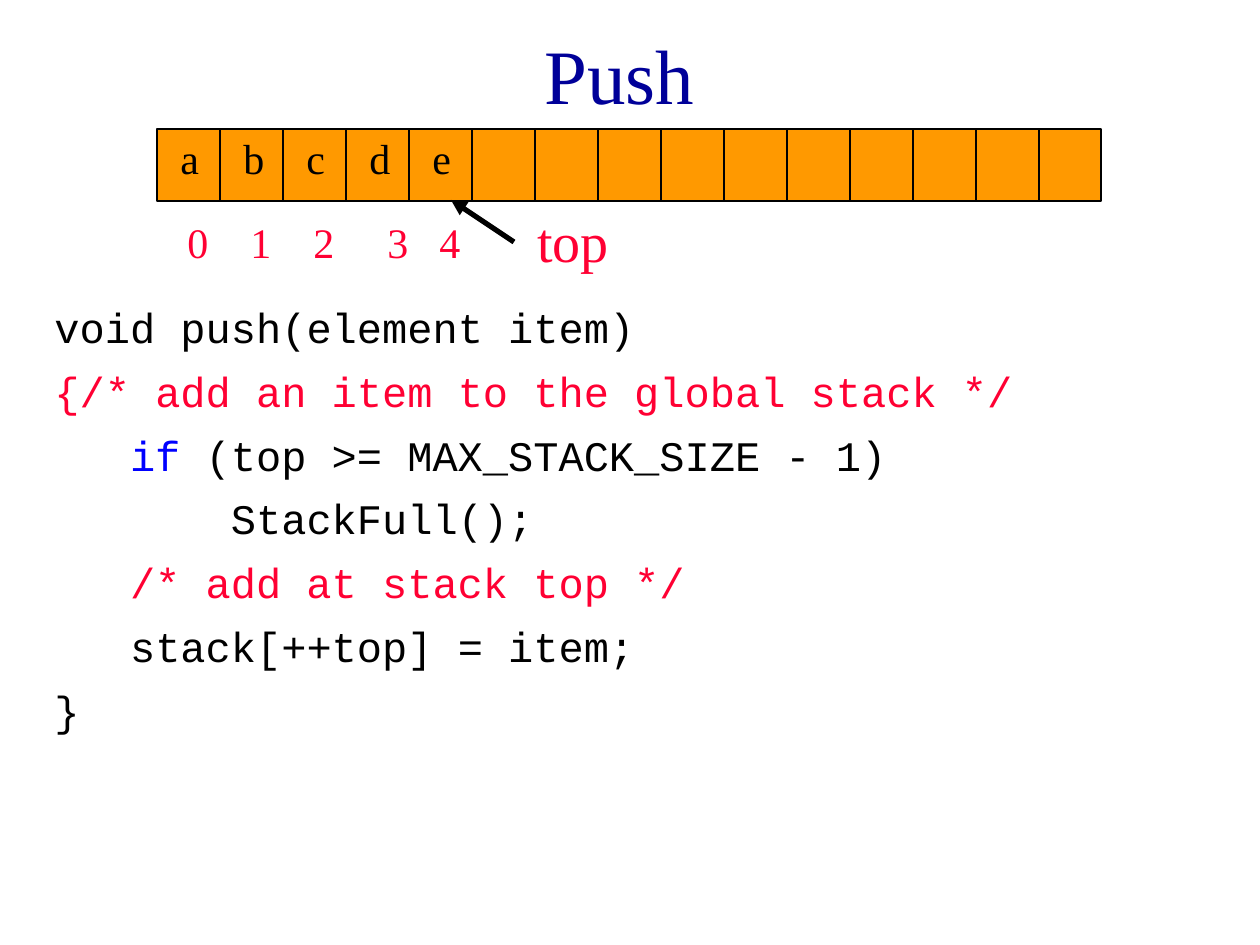
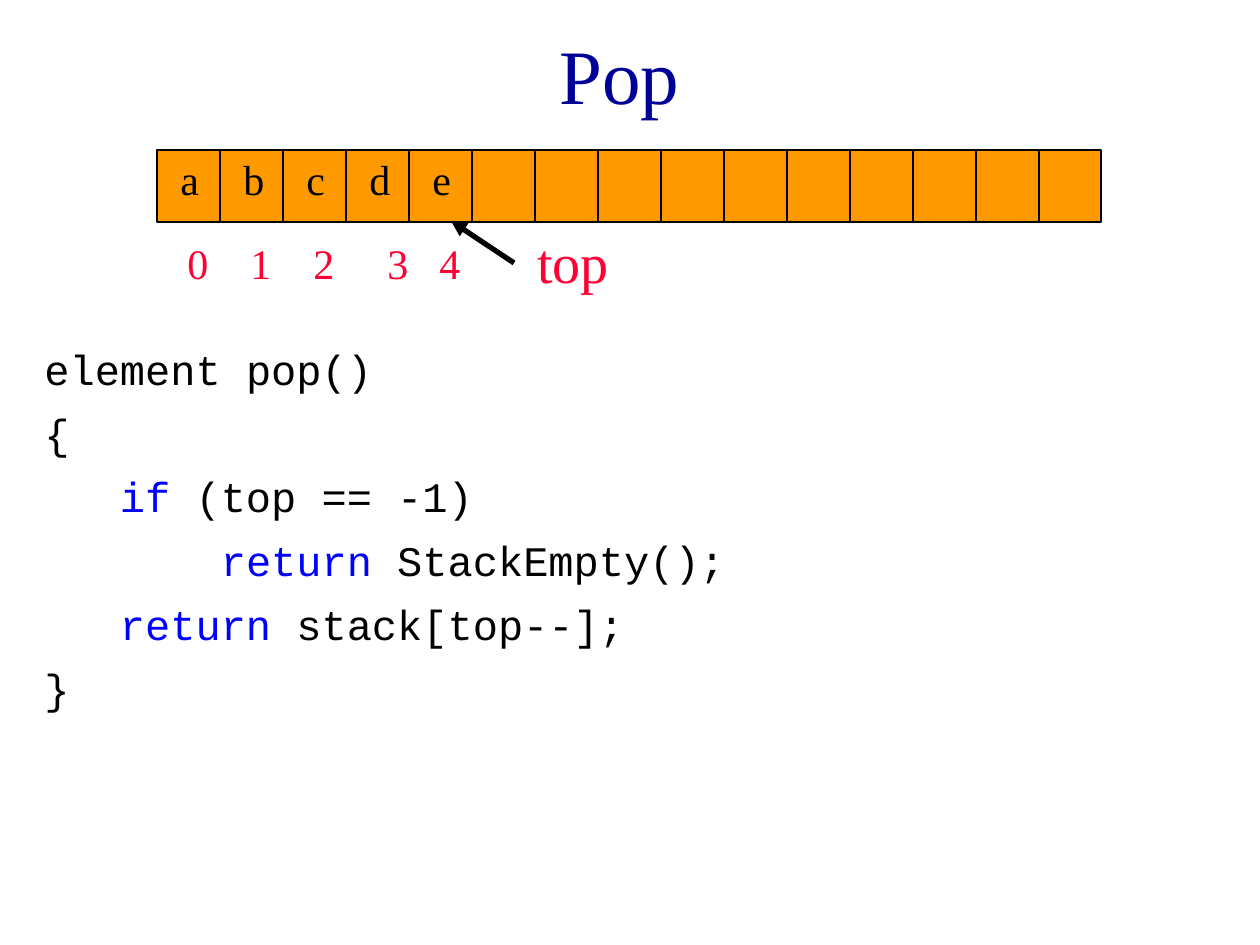
from dataclasses import dataclass
from typing import NamedTuple

from lxml.etree import SubElement
from pptx import Presentation
from pptx.dml.color import RGBColor
from pptx.enum.shapes import MSO_CONNECTOR as Connector, MSO_SHAPE as Preset
from pptx.enum.text import MSO_ANCHOR as Anchor, PP_ALIGN as Align
from pptx.oxml.ns import qn
from pptx.slide import Slide
from pptx.util import Emu, Pt

PX_PER_INCH = 126


def px(length: int) -> Emu:
    return Emu(round(length * 914400 / PX_PER_INCH))


# Colours and type sizes
@dataclass(frozen=True)
class Theme:
    title: str = "000099"
    ink: str = "000000"
    accent: str = "FF0033"
    keyword: str = "0000FF"
    cell: str = "FF9900"
    serif: str = "Times New Roman"
    mono: str = "Courier New"
    title_size: int = 44
    pointer_size: int = 32
    body_size: int = 24
    code_gap: float = 7.7


THEME = Theme()


class Box(NamedTuple):
    left: int
    top: int
    width: int
    height: int


class Point(NamedTuple):
    x: int
    y: int


class Span(NamedTuple):
    text: str
    color: str = THEME.ink


Line = list[Span]


@dataclass(frozen=True)
class Operation:
    title: str
    stack_top: int
    code_box: Box
    code: list[Line]


# Stack layout
CELL_COUNT = 15
CELL_WIDTH = 63
CELL_HEIGHT = 72
STACK_LEFT = 157
ITEMS = "abcde"
INDEX_LEFTS = (175, 238, 301, 375, 427)

OPERATIONS = [
    Operation("Push", 129, Box(42, 295, 1218, 598), [
        [Span("void push(element item)")],
        [Span("{/* add an item to the global stack */", THEME.accent)],
        [Span("   "), Span("if", THEME.keyword), Span(" (top >= MAX_STACK_SIZE - 1)")],
        [Span("       StackFull();")],
        [Span("   "), Span("/* add at stack top */", THEME.accent)],
        [Span("   stack[++top] = item;")],
        [Span("}")],
    ]),
    Operation("Pop", 150, Box(32, 337, 1207, 598), [
        [Span("element pop()")],
        [Span("{")],
        [Span("   "), Span("if", THEME.keyword), Span(" (top == -1)")],
        [Span("       "), Span("return", THEME.keyword), Span(" StackEmpty();")],
        [Span("   "), Span("return", THEME.keyword), Span(" stack[top--];")],
        [Span("}")],
    ]),
]


def add_text(slide: Slide, box: Box, lines: list[Line], size: int,
             font: str = THEME.serif, align: Align = Align.LEFT,
             anchor: Anchor = Anchor.TOP, wrap: bool = True, gap: float = 0) -> None:
    frame = slide.shapes.add_textbox(*map(px, box)).text_frame
    frame.word_wrap = wrap
    frame.vertical_anchor = anchor
    for number, line in enumerate(lines):
        paragraph = frame.add_paragraph() if number else frame.paragraphs[0]
        paragraph.alignment = align
        if number and gap:
            paragraph.space_before = Pt(gap)
        for span in line:
            run = paragraph.add_run()
            run.text = span.text
            run.font.name = font
            run.font.size = Pt(size)
            run.font.color.rgb = RGBColor.from_string(span.color)


def add_line(slide: Slide, start: Point, end: Point, width: int = 1,
             arrow_at_start: bool = False) -> None:
    connector = slide.shapes.add_connector(
        Connector.STRAIGHT, *map(px, start), *map(px, end))
    connector.line.color.rgb = RGBColor.from_string(THEME.ink)
    connector.line.width = Pt(width)
    if arrow_at_start:
        SubElement(connector.line._get_or_add_ln(), qn("a:headEnd"), type="triangle")
    SubElement(connector._element.spPr, qn("a:effectLst"))


def draw_stack(slide: Slide, top: int) -> None:
    bottom = top + CELL_HEIGHT

    # Row of cells
    row = slide.shapes.add_shape(Preset.RECTANGLE, *map(
        px, Box(STACK_LEFT, top, CELL_COUNT * CELL_WIDTH - 1, CELL_HEIGHT)))
    row.shadow.inherit = False
    row.fill.solid()
    row.fill.fore_color.rgb = RGBColor.from_string(THEME.cell)
    row.line.color.rgb = RGBColor.from_string(THEME.ink)
    row.line.width = Pt(1)
    for cell in range(1, CELL_COUNT):
        x = STACK_LEFT + cell * CELL_WIDTH
        add_line(slide, Point(x, top), Point(x, bottom))

    # Items and their indexes
    for index, (item, index_left) in enumerate(zip(ITEMS, INDEX_LEFTS)):
        item_left = STACK_LEFT + 11 + index * CELL_WIDTH
        add_text(slide, Box(item_left, top - 3, 46, 63), [[Span(item)]],
                 THEME.body_size, wrap=False)
        add_text(slide, Box(index_left, top + 81, 46, 63),
                 [[Span(str(index), THEME.accent)]], THEME.body_size, wrap=False)

    # Pointer to the top item
    add_line(slide, Point(451, bottom - 1), Point(514, bottom + 41), 3,
             arrow_at_start=True)
    add_text(slide, Box(525, bottom - 1, 273, 81), [[Span("top", THEME.accent)]],
             THEME.pointer_size)


def draw_operation(slide: Slide, operation: Operation) -> None:
    add_text(slide, Box(84, 21, 1071, 105), [[Span(operation.title, THEME.title)]],
             THEME.title_size, align=Align.CENTER, anchor=Anchor.MIDDLE)
    add_text(slide, operation.code_box, operation.code, THEME.body_size,
             font=THEME.mono, gap=THEME.code_gap)
    draw_stack(slide, operation.stack_top)


def main() -> None:
    deck = Presentation()
    deck.slide_width, deck.slide_height = px(1260), px(945)
    blank = deck.slide_layouts[6]
    for operation in OPERATIONS:
        draw_operation(deck.slides.add_slide(blank), operation)
    deck.save("out.pptx")


if __name__ == "__main__":
    main()
